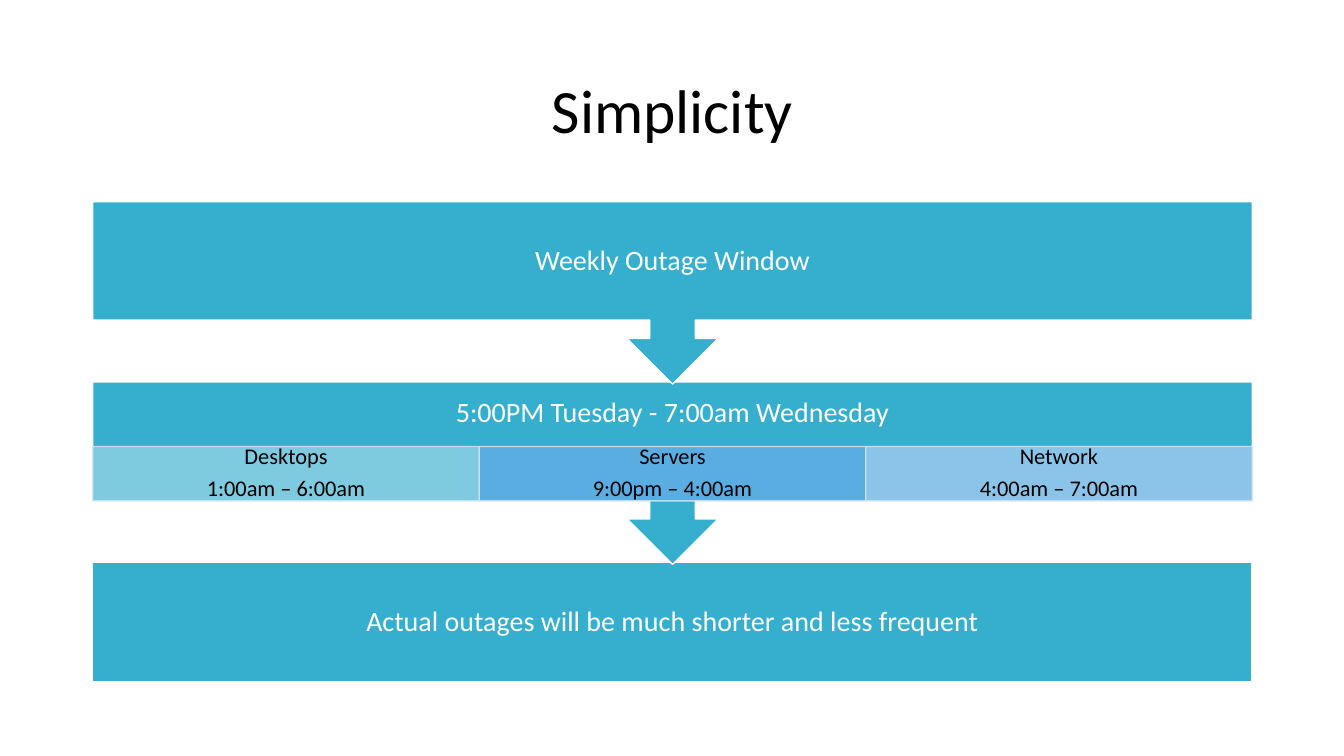
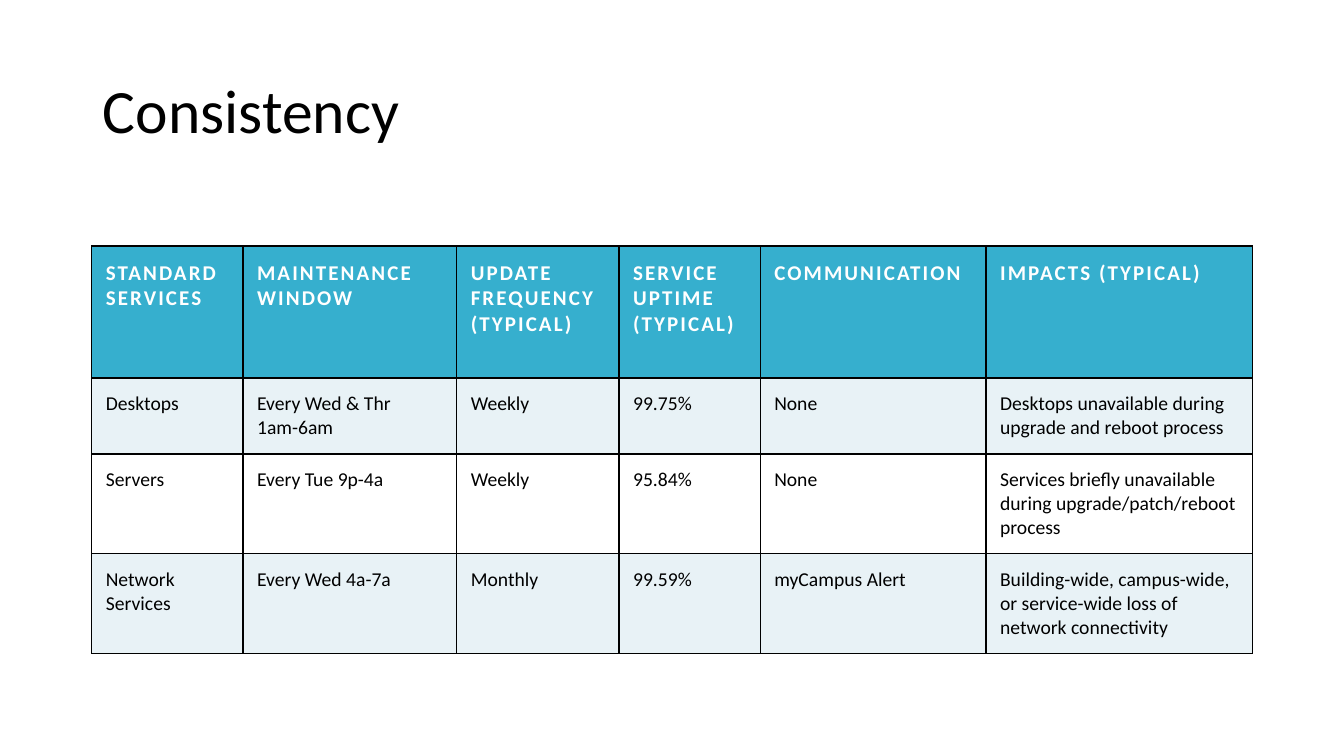
from pptx import Presentation
from pptx.dml.color import RGBColor
from pptx.enum.shapes import MSO_SHAPE as SHAPE
from pptx.enum.text import MSO_ANCHOR as ANCHOR, MSO_AUTO_SIZE as FIT, PP_ALIGN as ALIGN
from pptx.oxml.ns import qn
from pptx.util import Inches, Pt
from lxml.etree import SubElement

# Shared style
FONT = "Calibri"
COLORS = {
    "text": "000000", "white": "FFFFFF", "accent": "36AFCE", "band": "E8F2F6",
    "lane_line": "CEE3ED", "desktops": "86CFE2", "servers": "5FADE4", "network": "94C8ED",
}
SLIDE_W, SLIDE_H = 13.33, 7.5
LEFT, WIDTH = 0.92, 11.5

# Slide 1 content
STEPS = [
    "Weekly Outage Window",
    "5:00PM Tuesday - 7:00am Wednesday",
    "Actual outages will be much shorter and less frequent",
]
LANES = [
    ("Desktops", "1:00am – 6:00am", "desktops"),
    ("Servers", "9:00pm – 4:00am", "servers"),
    ("Network", "4:00am – 7:00am", "network"),
]
FLOW_TOP, STEP_PITCH = 2.0, 1.79
CALLOUT_H, BOX_H = 1.81, 1.18
HEADING_H, LANE_H = 0.63, 0.54

# Slide 2 content
SERVICES = [
    ("STANDARD SERVICES", "MAINTENANCE WINDOW", "UPDATE FREQUENCY (TYPICAL)",
     "SERVICE UPTIME (TYPICAL)", "COMMUNICATION", "IMPACTS (TYPICAL)"),
    ("Desktops", "Every Wed & Thr 1am-6am", "Weekly", "99.75%", "None",
     "Desktops unavailable during upgrade and reboot process"),
    ("Servers", "Every Tue 9p-4a", "Weekly", "95.84%", "None",
     "Services briefly unavailable during upgrade/patch/reboot process"),
    ("Network Services", "Every Wed 4a-7a", "Monthly", "99.59%", "myCampus Alert",
     "Building-wide, campus-wide, or service-wide loss of network connectivity"),
]
COL_WIDTHS = [1.5, 2.12, 1.61, 1.4, 2.24, 2.64]
ROW_HEIGHTS = [1.31, 0.75, 0.99, 0.99]
TABLE_LEFT, TABLE_TOP = 0.91, 2.44
CELL_INSET = 0.14


def rgb(name):
    return RGBColor.from_string(COLORS[name])


def box(*lengths):
    return [Inches(v) for v in lengths]


def style(p, size, color, bold=False):
    p.font.name, p.font.size, p.font.bold = FONT, Pt(size), bold
    p.font.color.rgb = rgb(color)


def set_insets(target, x, y):
    target.margin_left = target.margin_right = Inches(x)
    target.margin_top = target.margin_bottom = Inches(y)


def add_title_slide(prs, title, align):
    s = prs.slides.add_slide(prs.slide_layouts[5])
    sp = s.shapes.title
    sp.left, sp.top, sp.width, sp.height = box(LEFT, 0.4, WIDTH, 1.45)
    tf = sp.text_frame
    tf.text, tf.word_wrap, tf.auto_size = title, True, FIT.NONE
    tf.vertical_anchor = ANCHOR.MIDDLE
    p = tf.paragraphs[0]
    p.alignment, p.line_spacing = align, 0.9
    style(p, 44, "text")
    return s


def add_block(s, kind, at, fill, line, alpha=None):
    sp = s.shapes.add_shape(kind, *box(*at))
    sp.shadow.inherit = False
    sp.fill.solid()
    sp.fill.fore_color.rgb = rgb(fill)
    sp.line.color.rgb = rgb(line)
    sp.line.width = Pt(1)
    if alpha:
        for color in sp._element.spPr.iter(qn("a:srgbClr")):
            SubElement(color, qn("a:alpha"), val=str(alpha * 1000))
    return sp


def write_centered(sp, lines, size, color, inset):
    tf = sp.text_frame
    tf.word_wrap, tf.vertical_anchor = True, ANCHOR.MIDDLE
    set_insets(tf, *inset)
    tf.text = "\n".join(lines)
    for p in tf.paragraphs:
        p.alignment, p.line_spacing = ALIGN.CENTER, 0.9
        style(p, size, color)
    for p in tf.paragraphs[:-1]:
        p.space_after = Pt(0.35 * size)


def add_step(s, i):
    """One step of the flow; all but the last point down to the next."""
    top = FLOW_TOP + i * STEP_PITCH
    if i == len(STEPS) - 1:
        label = add_block(s, SHAPE.RECTANGLE, (LEFT, top, WIDTH, BOX_H), "accent", "white")
    else:
        callout = add_block(s, SHAPE.UP_ARROW_CALLOUT, (LEFT, top, WIDTH, CALLOUT_H),
                            "accent", "white")
        callout.rotation = 180
        label_h = HEADING_H if i == 1 else BOX_H
        label = s.shapes.add_textbox(*box(LEFT, top, WIDTH, label_h))
    write_centered(label, [STEPS[i]], 20, "white", (0.16, 0.16))


def build_flow(prs):
    s = add_title_slide(prs, "Simplicity", ALIGN.CENTER)
    # Later steps lie behind, so each arrow tip stays in front
    for i in reversed(range(len(STEPS))):
        add_step(s, i)
        if i == 1:
            lane_w = WIDTH / len(LANES)
            lane_top = FLOW_TOP + STEP_PITCH + HEADING_H + 0.01
            for n, (name, hours, fill) in enumerate(LANES):
                at = (LEFT + n * lane_w, lane_top, lane_w, LANE_H)
                lane = add_block(s, SHAPE.RECTANGLE, at, fill, "lane_line", alpha=90)
                write_centered(lane, [name, hours], 16, "text", (0.12, 0.02))


def add_borders(cell):
    tcPr = cell._tc.get_or_add_tcPr()
    for side in ("lnL", "lnR", "lnT", "lnB"):
        ln = SubElement(tcPr, qn("a:" + side), w=str(Pt(1)))
        fill = SubElement(ln, qn("a:solidFill"))
        SubElement(fill, qn("a:srgbClr"), val=COLORS["text"])


def build_table(prs):
    s = add_title_slide(prs, "Consistency", ALIGN.LEFT)
    at = box(TABLE_LEFT, TABLE_TOP, sum(COL_WIDTHS), sum(ROW_HEIGHTS))
    table = s.shapes.add_table(len(SERVICES), len(COL_WIDTHS), *at).table
    table.first_row = table.horz_banding = False
    for column, width in zip(table.columns, COL_WIDTHS):
        column.width = Inches(width)
    for row, height in zip(table.rows, ROW_HEIGHTS):
        row.height = Inches(height)
    for r, texts in enumerate(SERVICES):
        header = r == 0
        fill = "accent" if header else "band" if r % 2 else "white"
        for c, text in enumerate(texts):
            cell = table.cell(r, c)
            add_borders(cell)
            cell.fill.solid()
            cell.fill.fore_color.rgb = rgb(fill)
            set_insets(cell, CELL_INSET, CELL_INSET)
            cell.text = text
            p = cell.text_frame.paragraphs[0]
            if header:
                style(p, 15, "white", bold=True)
                p.runs[0]._r.get_or_add_rPr().set("spc", "150")
            else:
                style(p, 14, "text")


def main():
    prs = Presentation()
    prs.slide_width, prs.slide_height = box(SLIDE_W, SLIDE_H)
    build_flow(prs)
    build_table(prs)
    prs.save("out.pptx")


if __name__ == "__main__":
    main()
